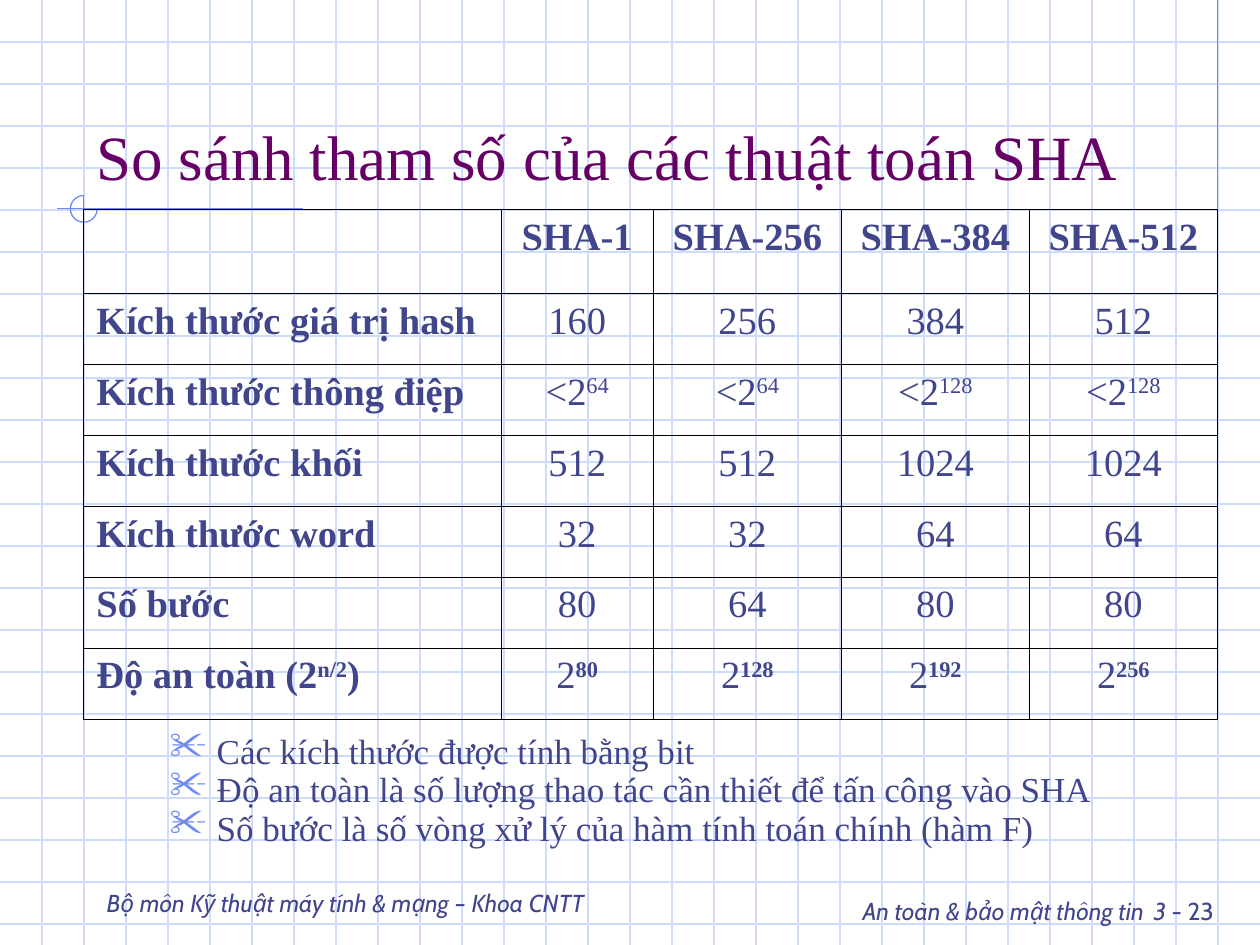
from lxml import etree
from pptx import Presentation
from pptx import util as u
from pptx.dml.color import RGBColor
from pptx.enum import shapes, text
from pptx.oxml import ns

COLORS = {
    "grid": "CFDBFD",
    "accent": "6F89F7",
    "text": "40458C",
    "title": "660066",
    "border": "000000",
}
SERIF, SANS = "Times New Roman", "Cabin"
WIDTH, HEIGHT = 25.4, 19.05
GRID_STEP = WIDTH / 30

COLUMN_WIDTHS = [8.41, 3.07, 3.79, 3.79, 3.79]
ROW_HEIGHTS = [1.69] + [1.43] * 6
# A caret switches superscript on and off
ROWS = [
    ["", "SHA-1", "SHA-256", "SHA-384", "SHA-512"],
    ["Kích thước giá trị hash", "160", "256", "384", "512"],
    ["Kích thước thông điệp", "<2^64", "<2^64", "<2^128", "<2^128"],
    ["Kích thước khối", "512", "512", "1024", "1024"],
    ["Kích thước word", "32", "32", "64", "64"],
    ["Số bước", "80", "64", "80", "80"],
    ["Độ an toàn (2^n/2^)", "2^80", "2^128", "2^192", "2^256"],
]
NOTES = [
    "Các kích thước được tính bằng bit",
    "Độ an toàn là số lượng thao tác cần thiết để tấn công vào SHA",
    "Số bước là số vòng xử lý của hàm tính toán chính (hàm F)",
]


def add_xml(parent, tag, **attributes):
    return etree.SubElement(parent, ns.qn(tag), attributes)


def add_span(para, words, size, font=SERIF, color="text", **extra):
    span = para.add_run()
    span.text = words
    for name, value in {"size": u.Pt(size), "name": font, **extra}.items():
        setattr(span.font, name, value)
    span.font.color.rgb = RGBColor.from_string(COLORS[color])
    return span


def style_line(shape, color):
    shape.line.color.rgb = RGBColor.from_string(COLORS[color])
    shape.line.width = u.Pt(0.75)


def add_line(page, x1, y1, x2, y2, color):
    line = page.shapes.add_connector(
        shapes.MSO_CONNECTOR.STRAIGHT, u.Cm(x1), u.Cm(y1), u.Cm(x2), u.Cm(y2))
    style_line(line, color)
    add_xml(line.element.spPr, "a:effectLst")


def add_background(page):
    # Squared paper
    for i in range(1, 23):
        add_line(page, 0, i * GRID_STEP, WIDTH, i * GRID_STEP, "grid")
    for i in range(1, 30):
        add_line(page, i * GRID_STEP, 0, i * GRID_STEP, HEIGHT, "grid")
    # Accent lines and the open circle at their crossing
    add_line(page, 24.55, 0, 24.55, 6.56, "accent")
    add_line(page, 6.1, 4.21, 1.14, 4.21, "accent")
    add_line(page, 1.69, 3.94, 1.69, 10.4, "accent")
    arc = page.shapes.add_shape(
        shapes.MSO_SHAPE.ARC, u.Cm(1.42), u.Cm(3.94), u.Cm(0.54), u.Cm(0.54))
    arc.adjustments[0] = 0
    arc.adjustments[1] = 162  # 270 degrees
    arc.shadow.inherit = False
    arc.fill.background()
    style_line(arc, "accent")


def add_box(page, left, top, width, height, anchor=text.MSO_ANCHOR.TOP):
    box = page.shapes.add_textbox(u.Cm(left), u.Cm(top), u.Cm(width), u.Cm(height))
    box.text_frame.word_wrap = True
    box.text_frame.vertical_anchor = anchor
    return box.text_frame


def add_footers(page):
    para = add_box(page, 15.88, 17.58, 8.84, 1.27).paragraphs[0]
    para.alignment = text.PP_ALIGN.RIGHT
    add_span(para, "An toàn & bảo mật thông tin", 14, SANS, italic=True)
    add_span(para, " ", 24, SANS, italic=True)
    add_span(para, "3", 14, SANS, italic=True)
    add_span(para, " - 23", 14, SANS)
    frame = add_box(page, 1.9, 17.35, 14.17, 1.27, text.MSO_ANCHOR.BOTTOM)
    add_span(frame.paragraphs[0], "Bộ môn Kỹ thuật máy tính & mạng – Khoa CNTT",
             14, SANS, italic=True)


def set_title(page, words):
    title = page.shapes.title
    place = {"left": 1.69, "top": 0.85, "width": 21.59, "height": 3.18}
    for name, value in place.items():
        setattr(title, name, u.Cm(value))
    title.text_frame.vertical_anchor = text.MSO_ANCHOR.BOTTOM
    para = title.text_frame.paragraphs[0]
    para.alignment = text.PP_ALIGN.LEFT
    add_span(para, words, 36, color="title")
    # Bring the title in front of the grid
    title.element.getparent().append(title.element)


def add_notes(page):
    frame = add_box(page, 3.17, 14.82, 19.47, 2.54)
    for i, note in enumerate(NOTES):
        para = frame.paragraphs[0] if i == 0 else frame.add_paragraph()
        para.line_spacing = 0.7
        para.space_before = u.Pt(5)
        props = para._p.get_or_add_pPr()
        props.set("marL", str(u.Cm(0.95)))
        props.set("indent", str(-u.Cm(0.95)))
        add_xml(add_xml(props, "a:buClr"), "a:srgbClr", val=COLORS["accent"])
        add_xml(props, "a:buSzPct", val="110000")
        add_xml(props, "a:buChar", char="✂")
        add_span(para, note, 20)


def style_cell(cell):
    props = cell._tc.get_or_add_tcPr()
    for side in ("a:lnL", "a:lnR", "a:lnT", "a:lnB"):
        border = add_xml(props, side, w=str(u.Pt(0.45)))
        add_xml(add_xml(border, "a:solidFill"), "a:srgbClr", val=COLORS["border"])
    cell.fill.background()


def fill_cell(cell, words, bold, bold_power, centred):
    para = cell.text_frame.paragraphs[0]
    para.alignment = text.PP_ALIGN.CENTER if centred else text.PP_ALIGN.LEFT
    for i, piece in enumerate(words.split("^")):
        power = i % 2 == 1
        span = add_span(para, piece, 22, bold=bold_power if power else bold)
        if power:
            span._r.get_or_add_rPr().set("baseline", "30000")


def add_comparison(page):
    table = page.shapes.add_table(
        len(ROWS), len(COLUMN_WIDTHS), u.Cm(1.69), u.Cm(4.23),
        u.Cm(sum(COLUMN_WIDTHS)), u.Cm(sum(ROW_HEIGHTS))).table
    table.first_row = table.horz_banding = False
    for column, width in zip(table.columns, COLUMN_WIDTHS):
        column.width = u.Cm(width)
    for row, height in zip(table.rows, ROW_HEIGHTS):
        row.height = u.Cm(height)
    for r, row in enumerate(ROWS):
        for c, words in enumerate(row):
            cell = table.cell(r, c)
            style_cell(cell)
            if words:
                bold = r == 0 or c == 0
                fill_cell(cell, words, bold, bold or r == len(ROWS) - 1, c > 0)


def main():
    deck = Presentation()
    deck.slide_width, deck.slide_height = u.Cm(WIDTH), u.Cm(HEIGHT)
    page = deck.slides.add_slide(deck.slide_layouts[5])
    add_background(page)
    add_footers(page)
    set_title(page, "So sánh tham số của các thuật toán SHA")
    add_notes(page)
    add_comparison(page)
    deck.save("out.pptx")


if __name__ == "__main__":
    main()
